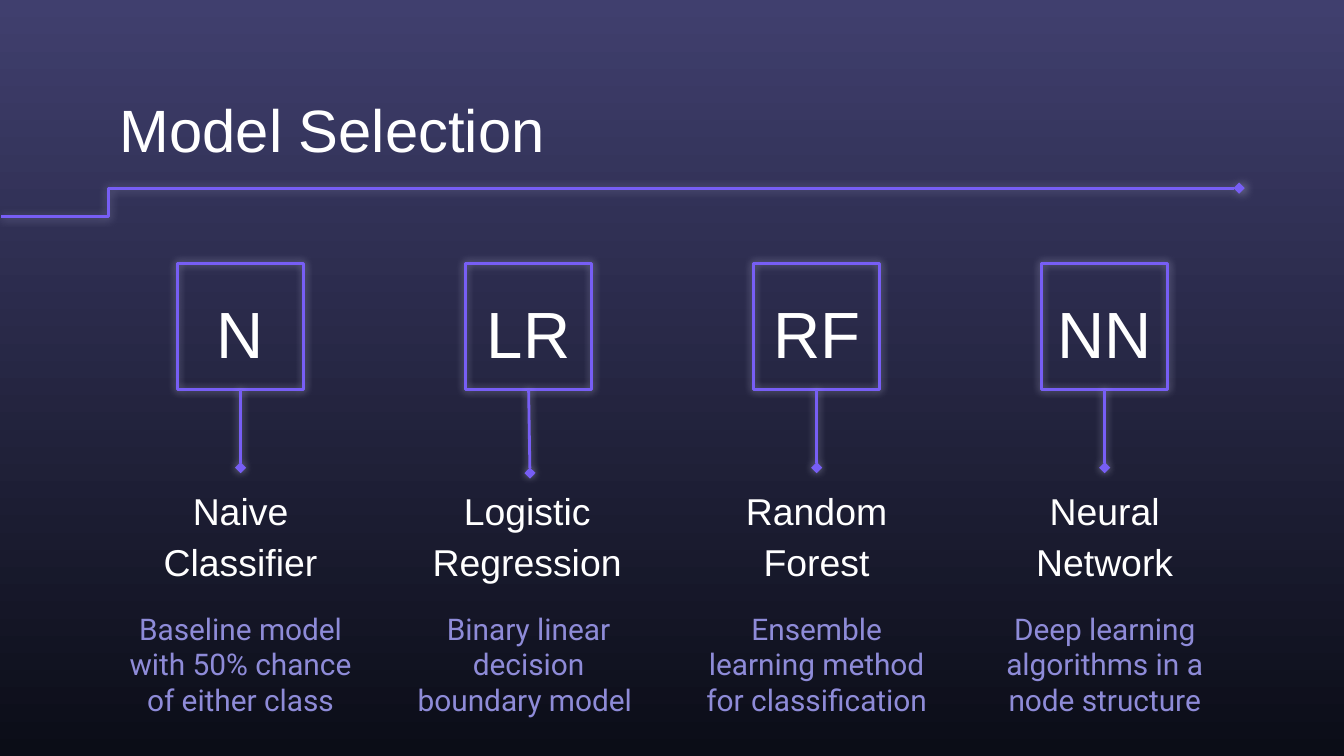
from collections import namedtuple

from lxml import etree
from pptx import Presentation
from pptx import util as u
from pptx.dml.color import RGBColor
from pptx.enum import shapes, text
from pptx.oxml import ns

Box = namedtuple("Box", "left top width height")
Model = namedtuple("Model", "initials name summary nudge drop", defaults=(0, 0))

WIDTH = 10
HEIGHT = WIDTH * 9 / 16
COLORS = {
    "sky": "403F6E",
    "night": "0B0D17",
    "line": "775EF5",
    "glow": "DFDEFF",
    "white": "FFFFFF",
    "lilac": "8E8BD8",
}
CONTENT = Box(0.79, 0.59, 8.43, 4.87)
CARD_WIDTH = 2
# The nudge shifts the name left and the stem's end right; the drop lengthens the stem
MODELS = [
    Model("N", "Naive Classifier", "Baseline model with 50% chance of either class"),
    Model("LR", "Logistic Regression", "Binary linear decision boundary model ", 0.01, 0.04),
    Model("RF", "Random Forest", "Ensemble learning method for classification"),
    Model("NN", "Neural Network", "Deep learning algorithms in a node structure"),
]


def color(name):
    return RGBColor.from_string(COLORS[name])


def inches(*lengths):
    return [u.Inches(length) for length in lengths]


def write(shape, words, size, font="Arial", ink="white", align=text.PP_ALIGN.CENTER,
          anchor=text.MSO_ANCHOR.TOP, spacing=1.0, after=0):
    """Fill a shape with one formatted paragraph."""
    frame = shape.text_frame
    frame.word_wrap = True
    frame.auto_size = text.MSO_AUTO_SIZE.NONE
    frame.vertical_anchor = anchor
    frame.margin_left = frame.margin_right = u.Inches(0.1)
    frame.margin_top = frame.margin_bottom = u.Inches(0.1)
    para = frame.paragraphs[0]
    para.alignment = align
    para.line_spacing = spacing
    para.space_after = u.Pt(after)
    span = para.add_run()
    span.text = words
    span.font.size = u.Pt(size)
    span.font.name = font
    span.font.color.rgb = color(ink)


def neon(shape, diamond=False):
    """Give an outline its violet line, soft glow and optional diamond end."""
    shape.line.color.rgb = color("line")
    shape.line.width = u.Pt(1.5)
    if diamond:
        outline = shape.line._get_or_add_ln()
        etree.SubElement(outline, ns.qn("a:tailEnd"), type="diamond")
    effects = etree.SubElement(shape._element.spPr, ns.qn("a:effectLst"))
    shadow = etree.SubElement(effects, ns.qn("a:outerShdw"),
                              blurRad=str(u.Pt(4.5)), dist="0", dir="0",
                              algn="ctr", rotWithShape="0")
    tint = etree.SubElement(shadow, ns.qn("a:srgbClr"), val=COLORS["glow"])
    etree.SubElement(tint, ns.qn("a:alpha"), val="50000")


def paint_background(page):
    fill = page.background.fill
    fill.gradient()
    fill.gradient_angle = 270
    for stop, name in zip(fill.gradient_stops, ("sky", "night")):
        stop.color.rgb = color(name)


def add_header(page, box):
    """Title with the stepped rule that runs in from the slide's left edge."""
    # Stepped rule
    upper, lower = box.top + box.height + 0.18, box.top + box.height + 0.39
    corner = box.left + 0.02
    points = [inches(x, y) for x, y in (
        (0.01, lower), (corner, lower), (corner, upper), (box.left + box.width, upper))]
    builder = page.shapes.build_freeform(*points[0])
    builder.add_line_segments(points[1:], close=False)
    rule = builder.convert_to_shape()
    rule.fill.background()
    neon(rule, diamond=True)

    # Title
    title = page.shapes.title
    title.left, title.top, title.width, title.height = inches(*box)
    write(title, "Model Selection", 32, align=text.PP_ALIGN.LEFT)


def add_card(page, box, model):
    """One model: framed initials, a stem, the name and a summary."""
    center = box.left + box.width / 2
    side = 0.94
    name_top = box.top + 1.52

    # Framed initials
    frame = page.shapes.add_shape(
        shapes.MSO_SHAPE.RECTANGLE, *inches(center - side / 2, box.top, side, side))
    frame.fill.background()
    neon(frame)
    label = page.shapes.add_textbox(*inches(box.left, box.top + 0.24, box.width, 0.46))
    write(label, model.initials, 35, anchor=text.MSO_ANCHOR.MIDDLE, spacing=1.15)

    # Stem
    stem = page.shapes.add_connector(
        shapes.MSO_CONNECTOR.STRAIGHT,
        *inches(center, box.top + side, center + model.nudge, name_top + model.drop))
    neon(stem, diamond=True)

    # Name and summary
    heading = page.shapes.add_textbox(
        *inches(box.left - model.nudge, name_top, box.width, 0.46))
    write(heading, model.name, 20, spacing=1.15, after=16)
    body = page.shapes.add_textbox(*inches(box.left, box.top + 2.48, box.width, 1.02))
    write(body, model.summary, 16, font="Roboto", ink="lilac", after=16)


def add_cards(page, box):
    """Spread the model cards evenly from edge to edge of the box."""
    pitch = (box.width - CARD_WIDTH) / (len(MODELS) - 1)
    for column, model in enumerate(MODELS):
        card = Box(box.left + column * pitch, box.top, CARD_WIDTH, box.height)
        add_card(page, card, model)


def main():
    deck = Presentation()
    deck.slide_width, deck.slide_height = inches(WIDTH, HEIGHT)
    page = deck.slides.add_slide(deck.slide_layouts.get_by_name("Title Only"))
    paint_background(page)
    add_header(page, CONTENT._replace(height=0.63))
    add_cards(page, CONTENT._replace(top=1.96, height=3.5))
    deck.save("out.pptx")


if __name__ == "__main__":
    main()
